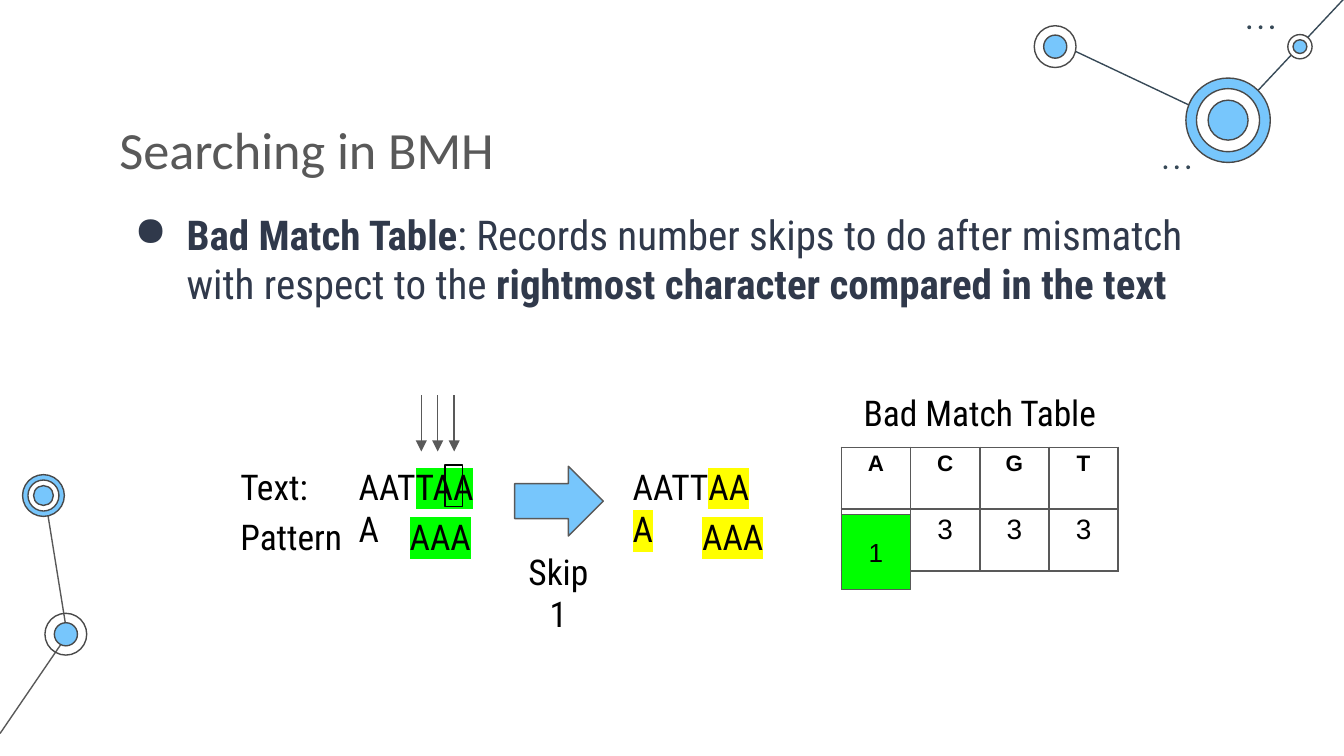
from lxml.etree import SubElement
from pptx import Presentation
from pptx.dml.color import RGBColor
from pptx.enum.shapes import MSO_CONNECTOR, MSO_SHAPE
from pptx.enum.text import MSO_ANCHOR, PP_ALIGN
from pptx.oxml.ns import qn
from pptx.util import Pt

BLUE, WHITE, GREEN, YELLOW = "77C6FC", "FFFFFF", "00FF00", "FFFF00"
BLACK, GRAY, RING, NAVY, SLATE = "000000", "595959", "494949", "30394B", "374957"
CONDENSED = "Roboto Condensed"
INSET = 7.2


def rgb(value):
    return RGBColor.from_string(value)


def add_color(parent, tag, value):
    element = SubElement(parent, qn(tag))
    SubElement(element, qn("a:srgbClr")).set("val", value)
    return element


def write(frame, runs, size, font=CONDENSED, color=BLACK, align=PP_ALIGN.LEFT,
          anchor=MSO_ANCHOR.TOP, inset=INSET):
    """Fill a frame with one paragraph; runs are (text, bold, highlight)."""
    settings = {"word_wrap": True, "vertical_anchor": anchor}
    for side in ("left", "top", "right", "bottom"):
        settings["margin_" + side] = Pt(inset)
    for name, value in settings.items():
        setattr(frame, name, value)
    paragraph = frame.paragraphs[0]
    paragraph.alignment = align
    for text, bold, highlight in runs:
        run = paragraph.add_run()
        run.text = text
        run.font.color.rgb = rgb(color)
        if highlight:
            add_color(run.font._element, "a:highlight", highlight)
        for name, value in {"size": Pt(size), "bold": bold, "name": font}.items():
            setattr(run.font, name, value)
    return paragraph


def add_text(slide, left, top, width, height, runs, size=19, **style):
    if isinstance(runs, str):
        runs = [(runs, False, None)]
    box = slide.shapes.add_textbox(Pt(left), Pt(top), Pt(width), Pt(height))
    return write(box.text_frame, runs, size, **style)


def add_shape(slide, kind, left, top, width, height, fill=None, line=None):
    shape = slide.shapes.add_shape(kind, Pt(left), Pt(top), Pt(width), Pt(height))
    shape.shadow.inherit = False
    if fill:
        shape.fill.solid()
        shape.fill.fore_color.rgb = rgb(fill)
    else:
        shape.fill.background()
    if line:
        shape.line.color.rgb = rgb(line)
        shape.line.width = Pt(0.75)
    else:
        shape.line.fill.background()
    return shape


def add_line(slide, x1, y1, x2, y2, color=GRAY, arrow=False):
    line = slide.shapes.add_connector(MSO_CONNECTOR.STRAIGHT, Pt(x1), Pt(y1), Pt(x2), Pt(y2))
    line.line.color.rgb = rgb(color)
    line.line.width = Pt(0.75)
    if arrow:
        SubElement(line.line._get_or_add_ln(), qn("a:tailEnd")).set("type", "triangle")
    SubElement(line._element.spPr, qn("a:effectLst"))


def add_network(slide, left, top, color, links, nodes, dot_rows=()):
    """Draw links, then nodes as (x, y, ((radius, fill), ...)), then dot rows."""
    for x1, y1, x2, y2 in links:
        add_line(slide, left + x1, top + y1, left + x2, top + y2, color)
    for x, y, rings in nodes:
        for radius, fill in rings:
            add_shape(slide, MSO_SHAPE.OVAL, left + x - radius, top + y - radius,
                      2 * radius, 2 * radius, fill, RING)
    for x, y in dot_rows:
        for index in range(3):
            add_shape(slide, MSO_SHAPE.OVAL, left + x + 6.1 * index, top + y, 2, 2, color)


def add_heading(slide, left, top, width):
    add_text(slide, left, top, width, 45, "Searching in BMH", 28, font="Calibri", color=GRAY)


def add_definition(slide, left, top, width, height):
    runs = [("Bad Match Table", True, None),
            (": Records number skips to do after mismatch with respect to the ", False, None),
            ("rightmost character compared in the text", True, None)]
    paragraph = add_text(slide, left, top, width, height, runs, 22, color=NAVY,
                         anchor=MSO_ANCHOR.MIDDLE)
    properties = paragraph._p.get_or_add_pPr()
    properties.set("marL", str(Pt(36)))
    properties.set("indent", str(-Pt(28)))
    add_color(properties, "a:buClr", NAVY)
    SubElement(properties, qn("a:buChar")).set("char", "●")


def add_search(slide, left, top):
    """Show the text over the pattern before and after the skip."""
    text_top, pattern_top, row = top + 30.2, top + 56.9, 37.4
    before = [("AAT", False, None), ("TAA", False, GREEN), ("A", False, None)]
    after = [("AATT", False, None), ("AAA", False, YELLOW)]
    add_text(slide, left, text_top, 81.4, row, "Text:")
    add_text(slide, left, pattern_top, 81.4, row, "Pattern")
    for text_x, runs, pattern_x, mark in ((63.4, before, 90.7, GREEN),
                                          (210.2, after, 247.4, YELLOW)):
        add_text(slide, left + text_x, text_top, 81.4, row, runs)
        add_text(slide, left + pattern_x, pattern_top, 47.5, row, [("AAA", False, mark)])
    for index in range(3):
        x = left + 104 + 8.8 * index
        add_line(slide, x, top, x, top + 30.2, arrow=True)
    add_shape(slide, MSO_SHAPE.RECTANGLE, left + 116.6, top + 37.4, 9.6, 22.4, line=BLACK)
    add_shape(slide, MSO_SHAPE.RIGHT_ARROW, left + 154, top + 38.1, 47.5, 37.4, BLUE, GRAY)
    add_text(slide, left + 148.3, top + 75.6, 58.3, row, "Skip 1", align=PP_ALIGN.CENTER)


def add_borders(cell):
    properties = cell._tc.get_or_add_tcPr()
    for position, tag in enumerate(("a:lnL", "a:lnR", "a:lnT", "a:lnB")):
        edge = add_color(SubElement(properties, qn(tag)), "a:solidFill", GRAY).getparent()
        edge.set("w", str(Pt(1)))
        properties.insert(position, edge)


def add_skip_table(slide, left, top, column=37.1, row=33.1):
    add_text(slide, left, top, 4 * column, 37.4, "Bad Match Table", align=PP_ALIGN.CENTER)
    grid_top = top + 37.4
    table = slide.shapes.add_table(2, 4, Pt(left), Pt(grid_top),
                                   Pt(4 * column), Pt(2 * row)).table
    table.first_row = table.horz_banding = False
    for r, (values, size) in enumerate((("ACGT", 12), ("1333", 15))):
        table.rows[r].height = Pt(row)
        for c, value in enumerate(values):
            cell = table.cell(r, c)
            cell.fill.background()
            add_borders(cell)
            paragraph = write(cell.text_frame, [(value, r == 0, None)], size, font="Arial",
                              align=PP_ALIGN.CENTER, inset=0)
            paragraph.line_spacing = 1.15
            paragraph.space_before = Pt(12)
            for side, margin in {"left": 0, "right": 0, "top": 0, "bottom": INSET}.items():
                setattr(cell, "margin_" + side, Pt(margin))
    current = add_shape(slide, MSO_SHAPE.RECTANGLE, left, grid_top + 36, column, 40.3,
                        GREEN, GRAY)
    write(current.text_frame, [("1", False, None)], 14, font="Arial",
          align=PP_ALIGN.CENTER, anchor=MSO_ANCHOR.MIDDLE)


def main():
    deck = Presentation()
    deck.slide_width, deck.slide_height = Pt(720), Pt(405)
    slide = deck.slides.add_slide(deck.slide_layouts[6])
    add_network(slide, 0, 253, GRAY,
                links=[(36, 87, 23.8, 11.2), (0, 140, 35.3, 88.3)],
                nodes=[(35.3, 86.8, ((11.2, None), (6.2, BLUE))),
                       (23.3, 12.5, ((11.2, BLUE), (8.3, WHITE), (5.3, BLUE)))])
    add_network(slide, 550, 0, SLATE,
                links=[(108, 66.2, 16.6, 23), (170, -0.7, 108, 65.5)],
                nodes=[(107.9, 64.4, ((22.6, BLUE), (16.9, WHITE), (10.7, BLUE))),
                       (15.3, 25, ((11.2, WHITE), (6.2, BLUE))),
                       (146.4, 25, ((6.5, WHITE), (3.7, BLUE)))],
                dot_rows=[(118.2, 13.6), (73.3, 88.6)])
    add_heading(slide, 56.9, 55.4, 410)
    add_search(slide, 121.7, 211.7)
    add_skip_table(slide, 450.7, 202.3)
    add_definition(slide, 56.9, 100.8, 584.6, 75.6)
    deck.save("out.pptx")


if __name__ == "__main__":
    main()
